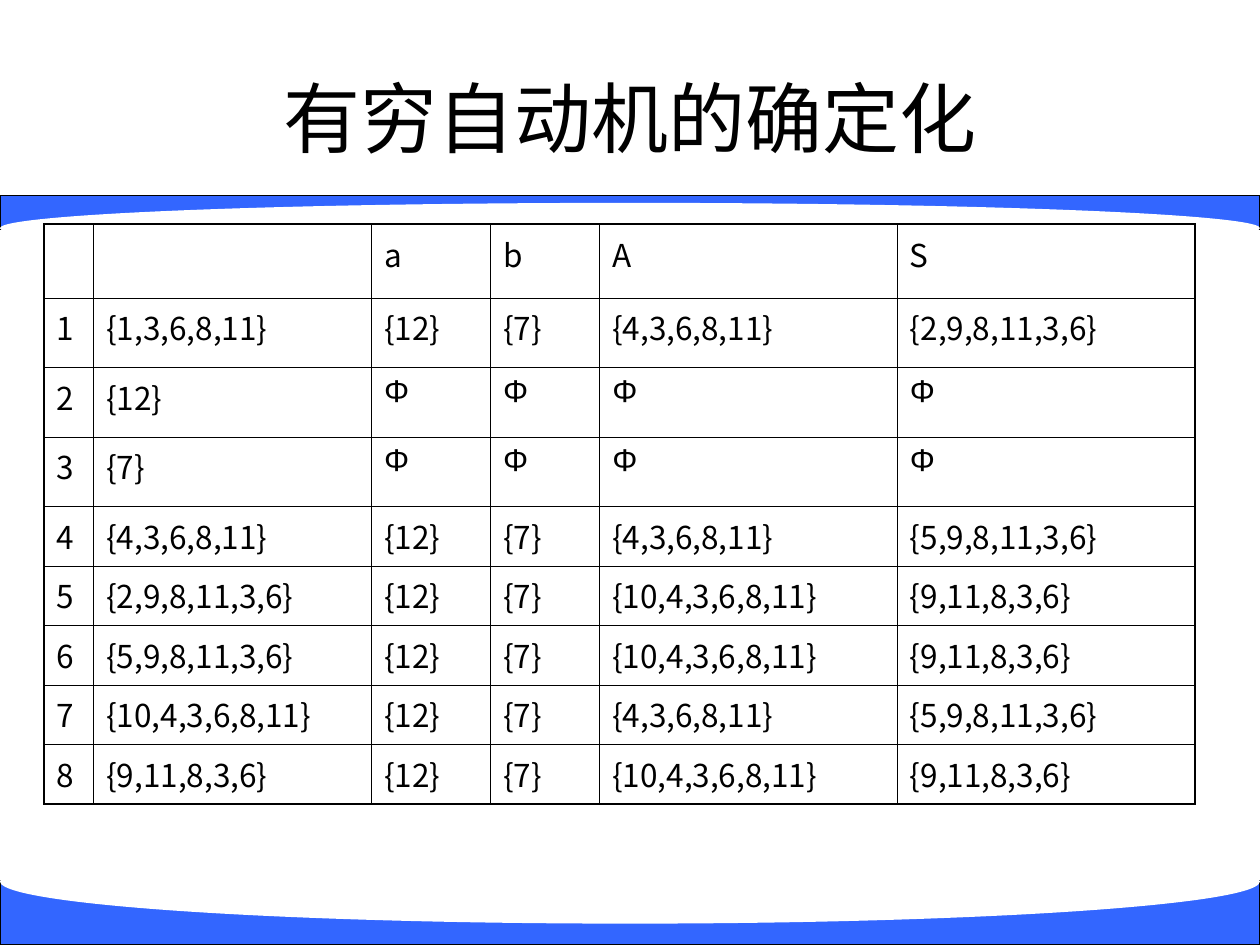
from dataclasses import dataclass

from lxml import etree
from pptx import Presentation
from pptx import util as u
from pptx.dml.color import RGBColor
from pptx.enum import shapes, text
from pptx.oxml.ns import qn


@dataclass(frozen=True)
class Theme:
    ink: str = "000000"
    band: str = "3366FF"
    paper: str = "FFFFFF"
    latin: str = "Arial"
    cjk: str = "Noto Sans CJK SC"
    title_size: int = 44
    cell_size: int = 18
    inner_line: float = 0.45
    outer_line: float = 1.08


@dataclass(frozen=True)
class Band:
    """A full-width bar with an ellipse cut into it; lengths in cm."""
    bar_top: float
    bar_height: float
    curve_top: float
    curve_height: float


THEME = Theme()
PAGE_WIDTH, PAGE_HEIGHT = 25.4, 19.05
BANDS = [Band(3.94, 0.69, 4.09, 1.02), Band(17.75, 1.3, 16.92, 1.7)]
COLUMN_WIDTHS = [1, 5.6, 2.4, 2.2, 6, 6]
ROW_HEIGHTS = [1.49] + [1.4] * 3 + [1.2] * 5
EMPTY = "Φ"
HEADINGS = ["", "", "a", "b", "A", "S"]
TRANSITIONS = [
    ["{1,3,6,8,11}", "{12}", "{7}", "{4,3,6,8,11}", "{2,9,8,11,3,6}"],
    ["{12}"] + [EMPTY] * 4,
    ["{7}"] + [EMPTY] * 4,
    ["{4,3,6,8,11}", "{12}", "{7}", "{4,3,6,8,11}", "{5,9,8,11,3,6}"],
    ["{2,9,8,11,3,6}", "{12}", "{7}", "{10,4,3,6,8,11}", "{9,11,8,3,6}"],
    ["{5,9,8,11,3,6}", "{12}", "{7}", "{10,4,3,6,8,11}", "{9,11,8,3,6}"],
    ["{10,4,3,6,8,11}", "{12}", "{7}", "{4,3,6,8,11}", "{5,9,8,11,3,6}"],
    ["{9,11,8,3,6}", "{12}", "{7}", "{10,4,3,6,8,11}", "{9,11,8,3,6}"],
]


def colour(value: str) -> RGBColor:
    return RGBColor.from_string(value)


def format_paragraph(para, name: str, size: int) -> None:
    para.font.name = name
    para.font.size = u.Pt(size)
    para.font.color.rgb = colour(THEME.ink)


def draw_band(page, band: Band) -> None:
    group = page.shapes.add_group_shape()
    parts = [
        (shapes.MSO_SHAPE.RECTANGLE, band.bar_top, band.bar_height, THEME.band),
        (shapes.MSO_SHAPE.OVAL, band.curve_top, band.curve_height, THEME.paper),
    ]
    for kind, top, height, fill in parts:
        shape = group.shapes.add_shape(kind, 0, u.Cm(top), u.Cm(PAGE_WIDTH), u.Cm(height))
        shape.shadow.inherit = False
        shape.fill.solid()
        shape.fill.fore_color.rgb = colour(fill)
        if kind == shapes.MSO_SHAPE.RECTANGLE:
            shape.line.color.rgb = colour(THEME.ink)
            shape.line.width = u.Pt(0.75)
        else:
            shape.line.fill.background()


def draw_title(page, wording: str) -> None:
    title = page.shapes.title
    title.left, title.top = u.Cm(1.27), u.Cm(0.76)
    title.width, title.height = u.Cm(22.86), u.Cm(3.18)
    frame = title.text_frame
    frame.text = wording
    frame.vertical_anchor = text.MSO_ANCHOR.MIDDLE
    para = frame.paragraphs[0]
    para.alignment = text.PP_ALIGN.CENTER
    format_paragraph(para, THEME.latin, THEME.title_size)


def set_borders(cell, outer_sides: set[str]) -> None:
    properties = cell._tc.get_or_add_tcPr()
    for index, side in enumerate(["L", "R", "T", "B"]):
        width = THEME.outer_line if side in outer_sides else THEME.inner_line
        line = etree.Element(qn(f"a:ln{side}"), w=str(u.Pt(width)))
        fill = etree.SubElement(line, qn("a:solidFill"))
        etree.SubElement(fill, qn("a:srgbClr"), val=THEME.ink)
        properties.insert(index, line)


def draw_table(page, rows: list[list[str]]) -> None:
    last_row, last_column = len(rows) - 1, len(COLUMN_WIDTHS) - 1
    table = page.shapes.add_table(
        len(rows), len(COLUMN_WIDTHS), u.Cm(0.89), u.Cm(4.52),
        u.Cm(sum(COLUMN_WIDTHS)), u.Cm(sum(ROW_HEIGHTS))).table
    table.first_row = table.horz_banding = False
    for column, width in zip(table.columns, COLUMN_WIDTHS):
        column.width = u.Cm(width)
    for row, height in zip(table.rows, ROW_HEIGHTS):
        row.height = u.Cm(height)

    for r, row in enumerate(rows):
        for c, wording in enumerate(row):
            cell = table.cell(r, c)
            cell.fill.background()
            edges = {"L": c == 0, "R": c == last_column, "T": r == 0, "B": r == last_row}
            set_borders(cell, {side for side, outer in edges.items() if outer})
            cell.text = wording
            name = THEME.latin if wording == EMPTY else THEME.cjk
            format_paragraph(cell.text_frame.paragraphs[0], name, THEME.cell_size)


def main() -> None:
    deck = Presentation()
    deck.slide_width, deck.slide_height = u.Cm(PAGE_WIDTH), u.Cm(PAGE_HEIGHT)
    page = deck.slides.add_slide(deck.slide_layouts[5])

    # Blue bands above and below the content
    for band in BANDS:
        draw_band(page, band)

    # Title and numbered transition table
    draw_title(page, "有穷自动机的确定化")
    numbered = [[str(n), *row] for n, row in enumerate(TRANSITIONS, start=1)]
    draw_table(page, [HEADINGS, *numbered])

    deck.save("out.pptx")


if __name__ == "__main__":
    main()
